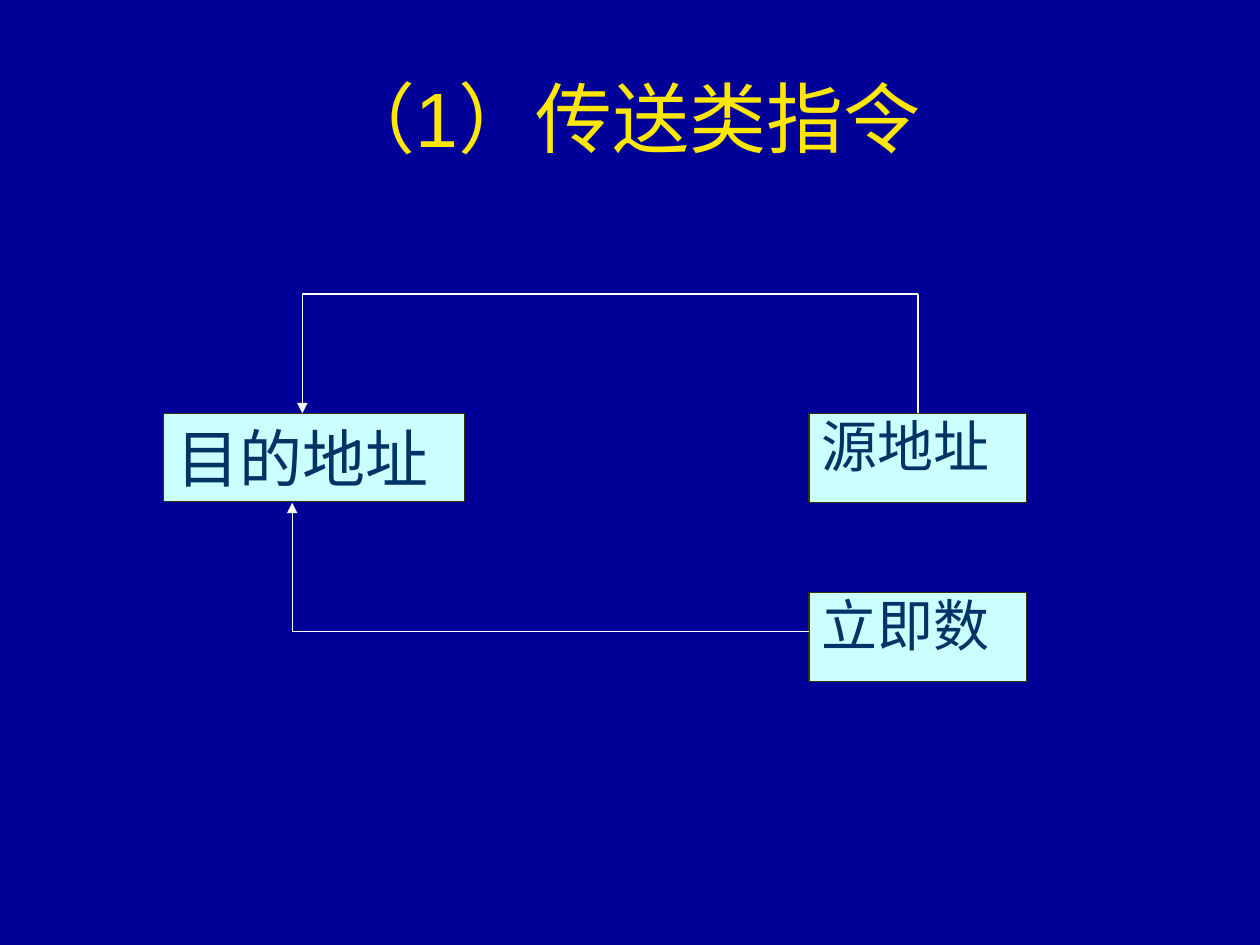
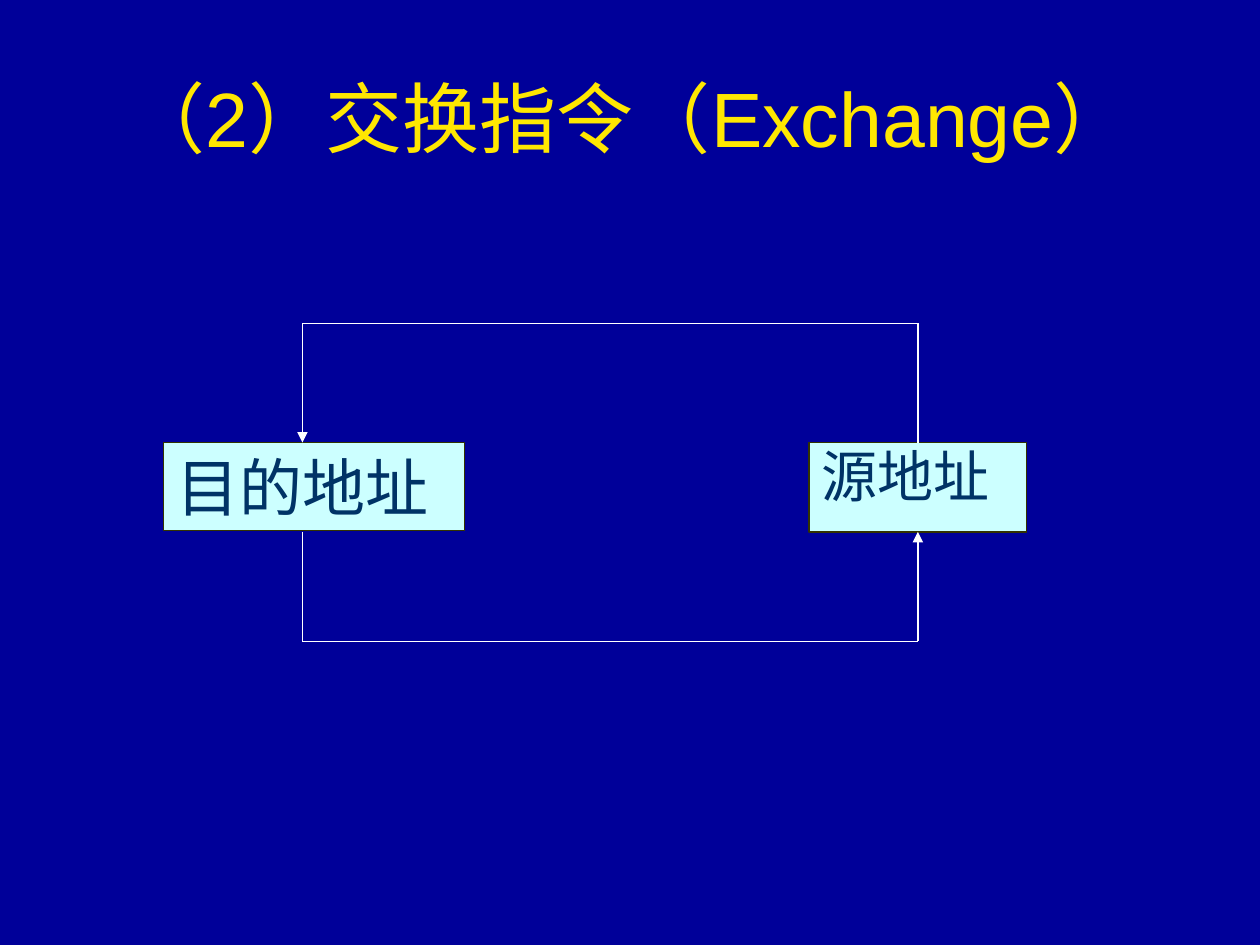
from itertools import pairwise

from pptx import Presentation
from pptx.dml.color import RGBColor
from pptx.enum.shapes import MSO_CONNECTOR, MSO_SHAPE
from pptx.enum.text import MSO_ANCHOR, PP_ALIGN
from pptx.oxml.ns import qn
from pptx.util import Pt
from lxml import etree

RECTANGLE = MSO_SHAPE.RECTANGLE
STRAIGHT = MSO_CONNECTOR.STRAIGHT
TOP, MIDDLE = MSO_ANCHOR.TOP, MSO_ANCHOR.MIDDLE
LEFT, CENTER = PP_ALIGN.LEFT, PP_ALIGN.CENTER
TOP_SIDE, BOTTOM_SIDE = 0, 2

FONT = "Arial"
COLORS = {
    "background": "000099",
    "title": "FFE701",
    "box": "CCFFFF",
    "border": "333300",
    "label": "003366",
    "arrow": "FFFFFF",
}
LINE_WIDTH = 0.75
BLANK_LAYOUT = 6

TARGET_LEFT, TARGET_WIDTH, TARGET_HEIGHT = 93.6, 172, 50.4
SOURCE_LEFT, SOURCE_WIDTH, SOURCE_HEIGHT = 462.25, 124.5, 51.1
TARGET_X = 172.8
SOURCE_X = SOURCE_LEFT + SOURCE_WIDTH / 2
RISE = 68.2


def color(name):
    return RGBColor.from_string(COLORS[name])


def write_text(shape, text, size, color_name, align, anchor, spacing=1.0):
    frame = shape.text_frame
    frame.word_wrap = True
    frame.vertical_anchor = anchor
    paragraph = frame.paragraphs[0]
    paragraph.text = text
    paragraph.alignment = align
    paragraph.line_spacing = spacing
    paragraph.font.name = FONT
    paragraph.font.size = Pt(size)
    paragraph.font.color.rgb = color(color_name)


def add_page(deck, title):
    page = deck.slides.add_slide(deck.slide_layouts[BLANK_LAYOUT])
    page.background.fill.solid()
    page.background.fill.fore_color.rgb = color("background")
    box = page.shapes.add_textbox(Pt(36), Pt(21.6), Pt(648), Pt(90))
    write_text(box, title, 44, "title", CENTER, MIDDLE)
    return page


def add_box(page, text, left, top, width, height, size, spacing):
    box = page.shapes.add_shape(RECTANGLE, Pt(left), Pt(top), Pt(width), Pt(height))
    box.shadow.inherit = False
    box.fill.solid()
    box.fill.fore_color.rgb = color("box")
    box.line.color.rgb = color("border")
    box.line.width = Pt(LINE_WIDTH)
    write_text(box, text, size, "label", LEFT, TOP, spacing)
    return box


def add_target(page, top):
    return add_box(page, "目的地址", TARGET_LEFT, top, TARGET_WIDTH, TARGET_HEIGHT, 36, 1.0)


def add_source(page, text, top):
    return add_box(page, text, SOURCE_LEFT, top, SOURCE_WIDTH, SOURCE_HEIGHT, 32, 0.9)


def add_line(page, start, end):
    line = page.shapes.add_connector(STRAIGHT, *map(Pt, start + end))
    line.line.color.rgb = color("arrow")
    line.line.width = Pt(LINE_WIDTH)
    etree.SubElement(line._element.spPr, qn("a:effectLst"))
    return line


def add_route(page, *points):
    lines = [add_line(page, start, end) for start, end in pairwise(points)]
    outline = lines[-1].line._get_or_add_ln()
    etree.SubElement(outline, qn("a:tailEnd"), type="triangle")
    return lines


def add_upper_route(page, source, top):
    lines = add_route(
        page,
        (SOURCE_X, top),
        (SOURCE_X, top - RISE),
        (TARGET_X, top - RISE),
        (TARGET_X, top),
    )
    lines[0].begin_connect(source, TOP_SIDE)


def add_transfer_page(deck):
    page = add_page(deck, "（1）传送类指令")
    top = 236.2
    add_target(page, top)
    source = add_source(page, "源地址", top)
    add_upper_route(page, source, top)
    add_source(page, "立即数", 338.4)
    immediate_x, immediate_y = 167, 360.7
    add_route(
        page,
        (SOURCE_LEFT, immediate_y),
        (immediate_x, immediate_y),
        (immediate_x, top + SOURCE_HEIGHT),
    )


def add_exchange_page(deck):
    page = add_page(deck, "（2）交换指令（Exchange）")
    top = 252.9
    bottom = top + SOURCE_HEIGHT
    return_y = 366.4
    add_target(page, top)
    source = add_source(page, "源地址", top)
    add_upper_route(page, source, top)
    lines = add_route(
        page,
        (TARGET_X, bottom),
        (TARGET_X, return_y),
        (SOURCE_X, return_y),
        (SOURCE_X, bottom),
    )
    lines[-1].end_connect(source, BOTTOM_SIDE)


def main():
    deck = Presentation()
    deck.slide_width = Pt(720)
    deck.slide_height = Pt(540)
    add_transfer_page(deck)
    add_exchange_page(deck)
    deck.save("out.pptx")


if __name__ == "__main__":
    main()
